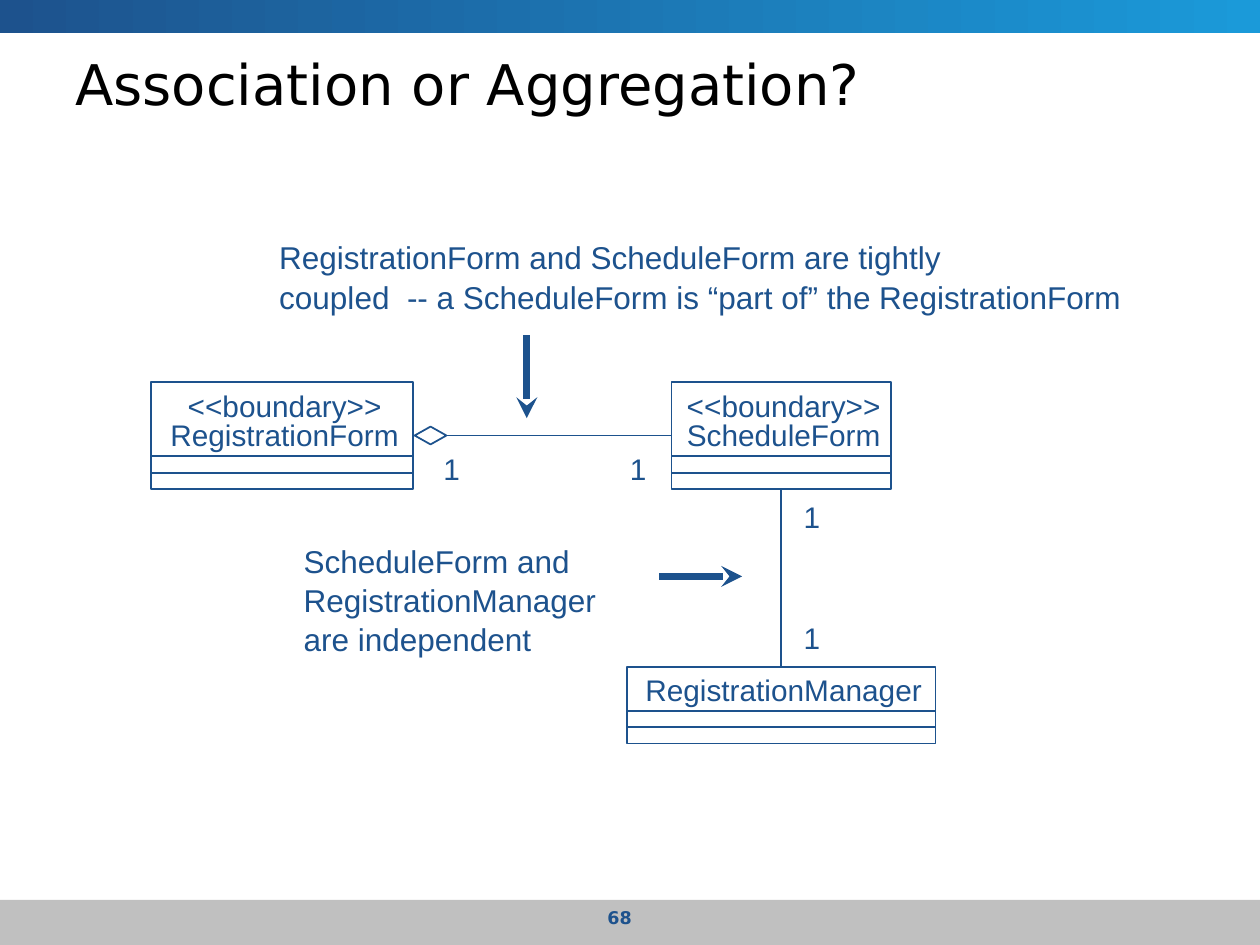
"""Build the slide that contrasts association with aggregation in a class diagram."""
from pptx import Presentation
from pptx.dml.color import RGBColor as RGB
from pptx.enum.shapes import MSO_CONNECTOR as CONN, MSO_SHAPE as SHAPE
from pptx.enum.text import MSO_ANCHOR as ANCHOR, PP_ALIGN as ALIGN
from pptx.oxml.ns import qn
from pptx.util import Cm, Pt
from lxml.etree import SubElement

COLORS = {
    "blue": "1D528D",
    "sky": "1B9AD9",
    "gray": "C0C0C0",
    "white": "FFFFFF",
    "black": "000000",
}


def color(name):
    return RGB.from_string(COLORS[name])


def add_box(slide, box, fill=None, line=None, kind=SHAPE.RECTANGLE):
    shape = slide.shapes.add_shape(kind, *map(Cm, box))
    shape.shadow.inherit = False
    if fill:
        shape.fill.solid()
        shape.fill.fore_color.rgb = color(fill)
    else:
        shape.fill.background()
    if line:
        shape.line.color.rgb = color(line)
        shape.line.width = Pt(1)
    else:
        shape.line.fill.background()
    return shape


def add_bar(slide, box):
    bar = add_box(slide, box)
    bar.fill.gradient()
    bar.fill.gradient_angle = 0
    for stop, name, place in zip(bar.fill.gradient_stops, ("blue", "sky"), (0, 1)):
        stop.color.rgb = color(name)
        stop.position = place


def add_text(slide, box, lines, size, font="Arial", tint="blue", align=ALIGN.LEFT,
             bold=False, wrap=False, anchor=ANCHOR.TOP, pitch=None):
    frame = slide.shapes.add_textbox(*map(Cm, box)).text_frame
    frame.word_wrap = wrap
    frame.vertical_anchor = anchor
    frame.text = "\n".join(lines)
    for para in frame.paragraphs:
        para.alignment = align
        para.line_spacing = pitch
        para.font.name = font
        para.font.size = Pt(size)
        para.font.bold = bold
        para.font.color.rgb = color(tint)


def add_line(slide, start, end, width=1, head=None):
    line = slide.shapes.add_connector(CONN.STRAIGHT, *map(Cm, start + end))
    line.line.color.rgb = color("blue")
    line.line.width = Pt(width)
    props = line._element.spPr
    if head:
        SubElement(props.find(qn("a:ln")), qn("a:headEnd"), type=head)
    SubElement(props, qn("a:effectLst"))
    return line


def add_class(slide, box, name, stereo=None):
    left, top, width, height = box
    base = top + height
    frame = add_box(slide, box, line="blue")
    labels = [(name, base - 1.58)]
    if stereo:
        labels.append((stereo, top))
    for label, y in labels:
        add_text(slide, (left + 0.05, y, width, 0.97), [label], 17, align=ALIGN.CENTER)
    for gap in (0.66, 0.33):
        add_line(slide, (left, base - gap), (left + width, base - gap))
    return frame


def link(slide, source, exit_side, target, entry_side):
    line = add_line(slide, (0, 0), (1, 1))
    line.begin_connect(source, exit_side)
    line.end_connect(target, entry_side)


def main():
    deck = Presentation()
    deck.slide_width, deck.slide_height = Cm(25.4), Cm(19.05)
    slide = deck.slides.add_slide(deck.slide_layouts[6])

    add_box(slide, (0, 18.14, 25.4, 0.91), "gray")
    add_bar(slide, (0, 0, 25.4, 0.66))
    add_box(slide, (1.47, 4.01, 22.66, 11.63), "white")

    add_text(slide, (5.38, 4.65, 17.5, 1.78),
             ["RegistrationForm and ScheduleForm are tightly",
              "coupled  -- a ScheduleForm is “part of” the RegistrationForm"],
             18, pitch=1.04)
    add_text(slide, (5.87, 10.77, 6.4, 2.54),
             ["ScheduleForm and", "RegistrationManager", "are independent"],
             18, pitch=1.04)
    add_line(slide, (14.96, 11.62), (13.28, 11.62), 4, "stealth")
    add_line(slide, (10.62, 8.43), (10.62, 6.76), 4, "stealth")

    add_class(slide, (3.05, 7.7, 5.28, 2.16), "RegistrationForm", "<<boundary>>")
    form = add_class(slide, (13.54, 7.7, 4.42, 2.16), "ScheduleForm", "<<boundary>>")
    manager = add_class(slide, (12.64, 13.44, 6.22, 1.55), "RegistrationManager")

    whole = add_box(slide, (8.36, 8.6, 0.64, 0.36), line="blue", kind=SHAPE.DIAMOND)
    link(slide, whole, 3, form, 1)
    link(slide, form, 2, manager, 0)
    for x, y in ((8.69, 8.97), (12.45, 8.97), (15.95, 9.93), (15.95, 12.37)):
        add_text(slide, (x, y, 0.84, 0.97), ["1"], 17)

    add_text(slide, (1.27, 0.89, 22.86, 1.57), ["Association or Aggregation?"], 32,
             "DejaVu Sans", "black", wrap=True, anchor=ANCHOR.MIDDLE)
    add_text(slide, (9.53, 18.16, 5.92, 0.71), ["68"], 10, "DejaVu Sans",
             align=ALIGN.CENTER, bold=True, wrap=True)
    deck.save("out.pptx")


if __name__ == "__main__":
    main()
